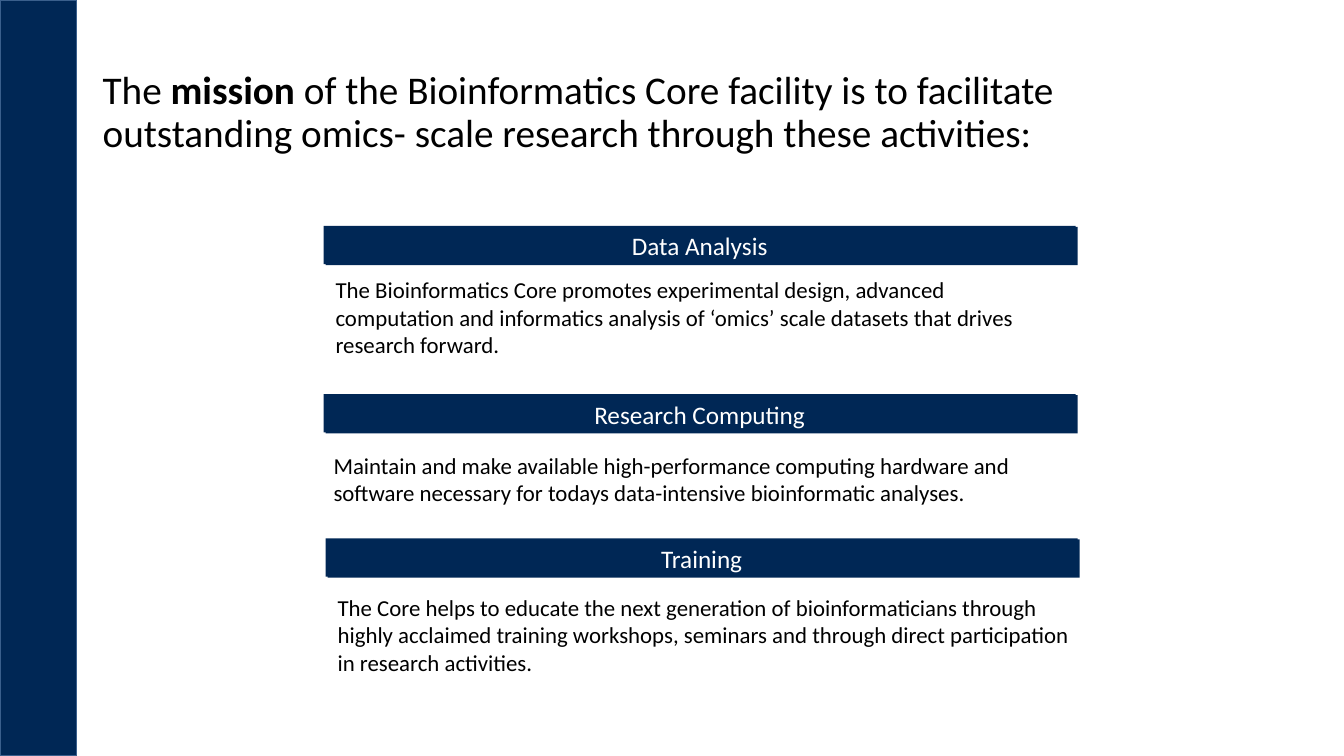
import pptx
import pptx.dml.color
import pptx.enum.shapes
import pptx.enum.text
import pptx.util
from pptx.util import Inches

NAVY, OUTLINE, BLACK, WHITE = "002755", "3A5F8C", "000000", "FFFFFF"
BAR_WIDTH, BAR_HEIGHT = 7.46, 0.38
ALIGN = pptx.enum.text.PP_ALIGN


def color(value):
    return pptx.dml.color.RGBColor.from_string(value)


def add_text(shapes, box, runs, size, font_color, align=ALIGN.LEFT):
    """Add a wrapped one-paragraph text box; runs are (text, bold) pairs."""
    frame = shapes.add_textbox(*map(Inches, box)).text_frame
    frame.word_wrap = True
    paragraph = frame.paragraphs[0]
    paragraph.alignment = align
    for text, bold in runs:
        run = paragraph.add_run()
        run.text = text
        run.font.name = "Calibri"
        run.font.size = pptx.util.Pt(size)
        run.font.bold = bold
        run.font.color.rgb = color(font_color)
    return frame


presentation = pptx.Presentation()
presentation.slide_width = Inches(13.33)
presentation.slide_height = Inches(7.5)
slide = presentation.slides.add_slide(presentation.slide_layouts[6])
rectangle = pptx.enum.shapes.MSO_SHAPE.RECTANGLE

sidebar = slide.shapes.add_shape(rectangle, 0, 0, Inches(0.76), Inches(7.5))
sidebar.shadow.inherit = False
sidebar.fill.solid()
sidebar.fill.fore_color.rgb = color(NAVY)
sidebar.line.color.rgb = color(OUTLINE)
sidebar.line.width = pptx.util.Pt(1)

title = add_text(
    slide.shapes, (0.92, 0.4, 11.5, 1.45),
    [("The ", False), ("mission", True),
     (" of the Bioinformatics Core facility is to facilitate outstanding "
      "omics- scale research through these activities:", False)],
    28, BLACK)
title.vertical_anchor = pptx.enum.text.MSO_ANCHOR.MIDDLE
title.paragraphs[0].line_spacing = 0.9

# heading, bar left, bar top, description left, top, height, text
activities = [
    ("Data Analysis", 3.21, 2.24, 3.23, 2.69, 0.93,
     "The Bioinformatics Core promotes experimental design, advanced "
     "computation and informatics analysis of ‘omics’ scale datasets "
     "that drives research forward."),
    ("Research Computing", 3.21, 3.91, 3.21, 4.43, 0.65,
     "Maintain and make available high-performance computing hardware and "
     "software necessary for todays data-intensive bioinformatic analyses."),
    ("Training", 3.23, 5.34, 3.25, 5.84, 0.93,
     "The Core helps to educate the next generation of bioinformaticians "
     "through highly acclaimed training workshops, seminars and through "
     "direct participation in research activities."),
]
for heading, left, top, text_left, text_top, text_height, description in activities:
    group = slide.shapes.add_group_shape()
    for shift_x, shift_y in ((0, 0), (0.02, 0.01)):
        bar = group.shapes.add_shape(
            rectangle, Inches(left + shift_x), Inches(top + shift_y),
            Inches(BAR_WIDTH), Inches(BAR_HEIGHT))
        bar.shadow.inherit = False
        bar.fill.solid()
        bar.fill.fore_color.rgb = color(NAVY)
        bar.line.fill.background()
    add_text(group.shapes, (left, top, BAR_WIDTH, 0.4),
             [(heading, False)], 18, WHITE, ALIGN.CENTER)
    add_text(slide.shapes, (text_left, text_top, BAR_WIDTH, text_height),
             [(description, False)], 16.3, BLACK)

presentation.save("out.pptx")
